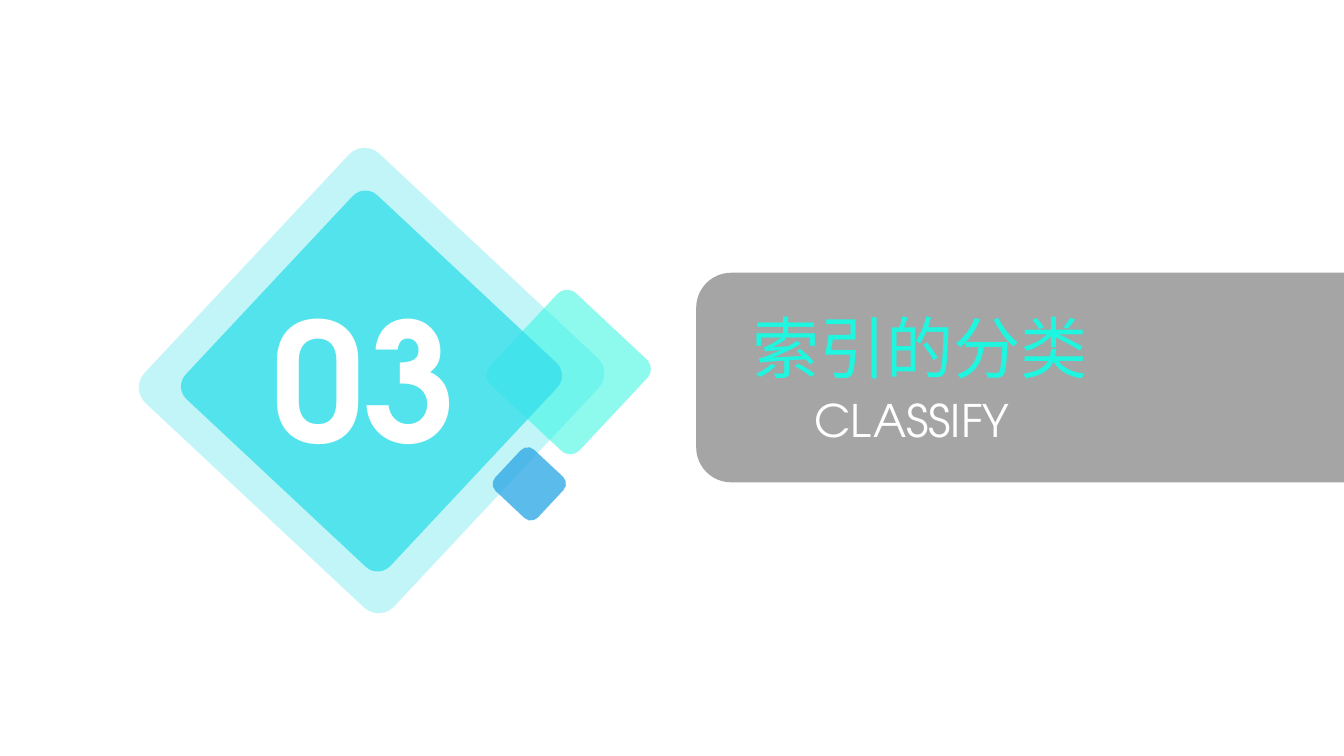
from pptx import Presentation
from pptx.dml.color import RGBColor
from pptx.enum import shapes, text
from pptx.oxml.ns import qn
from pptx.util import Inches, Pt
from lxml import etree

WHITE, AQUA, MINT = "FFFFFF", "37DFEA", "1EF6DF"
SANS, GEO = "Noto Sans CJK SC", "TeX Gyre Adventor"


def paint(fill, color, alpha=100):
    fill.solid()
    fill.fore_color.rgb = RGBColor.from_string(color)
    if alpha < 100:
        tone = fill._xPr.find(qn("a:solidFill"))[0]
        etree.SubElement(tone, qn("a:alpha")).set("val", str(alpha * 1000))


def write(box, words, size, font, color, bold=False):
    frame = box.text_frame
    frame.word_wrap = False
    frame.auto_size = text.MSO_AUTO_SIZE.NONE
    frame.vertical_anchor = text.MSO_ANCHOR.TOP
    para = frame.paragraphs[0]
    para.alignment = text.PP_ALIGN.LEFT
    run = para.add_run()
    run.text = words
    run.font.size = Pt(size)
    run.font.bold = bold
    paint(run.font.fill, color)
    run.font.name = font
    etree.SubElement(run._r.rPr, qn("a:ea")).set("typeface", font)


deck = Presentation()
deck.slide_width, deck.slide_height = Inches(13.33), Inches(7.5)
slide = deck.slides.add_slide(deck.slide_layouts[5])
tree = slide.shapes

ROUND = shapes.MSO_SHAPE.ROUNDED_RECTANGLE
TAB = shapes.MSO_SHAPE.ROUND_2_SAME_RECTANGLE
blocks = [
    (ROUND, 1.99, 2.08, 3.39, 3.39, 313.1, 0.062, AQUA, 30),
    (ROUND, 5.02, 3.08, 1.24, 1.22, 313.1, 0.108, MINT, 50),
    (ROUND, 2.3, 2.39, 2.77, 2.78, 313.1, 0.062, AQUA, 80),
    (ROUND, 4.97, 4.51, 0.56, 0.58, 313.1, 0.167, "32AAE6", 80),
    (TAB, 9.08, 0.53, 2.08, 6.43, 270, 0.167, "808080", 70),
]
for kind, left, top, wide, high, turn, curve, color, alpha in blocks:
    block = tree.add_shape(kind, Inches(left), Inches(top), Inches(wide), Inches(high))
    block.rotation = turn
    block.adjustments[0] = curve
    block.shadow.inherit = False
    block.line.fill.background()
    paint(block.fill, color, alpha)

number = tree.add_textbox(Inches(2.6), Inches(2.71), Inches(2.11), Inches(2.08))
write(number, "03", 117.3, GEO, WHITE, True)

title = tree.title
title.left, title.top = Inches(7.36), Inches(2.99)
title.width, title.height = Inches(3.57), Inches(0.91)
write(title, "索引的分类", 48, SANS, MINT)
tree._spTree.append(title._element)

label = tree.add_textbox(Inches(7.98), Inches(3.85), Inches(2.14), Inches(0.64))
write(label, "CLASSIFY", 32, GEO, WHITE)

deck.save("out.pptx")
